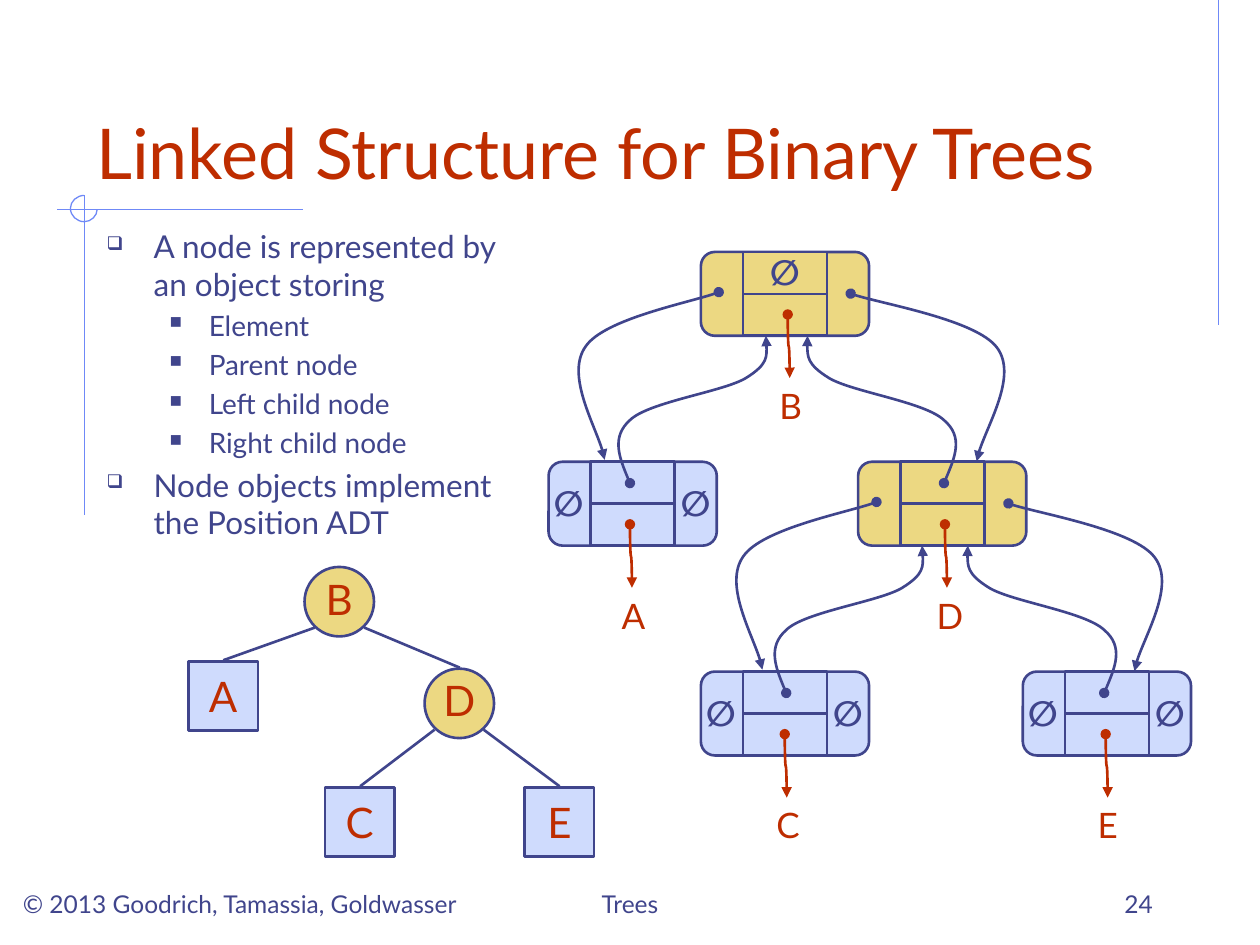
from lxml.etree import SubElement
from pptx import Presentation
from pptx.dml.color import RGBColor
from pptx.enum.shapes import MSO_CONNECTOR as CONN, MSO_SHAPE as SHAPE
from pptx.enum.text import MSO_ANCHOR as ANCHOR, PP_ALIGN as ALIGN
from pptx.oxml.ns import qn
from pptx.util import Cm, Pt

INK = RGBColor(0x40, 0x45, 0x8C)
RED = RGBColor(0xBE, 0x2D, 0x00)
GOLD = RGBColor(0xEC, 0xD8, 0x82)
PALE = RGBColor(0xCF, 0xDB, 0xFD)
RULE = RGBColor(0x6F, 0x89, 0xF7)

prs = Presentation()
prs.slide_width, prs.slide_height = Cm(25.4), Cm(19.05)
s = prs.slides.add_slide(prs.slide_layouts[6])
shapes = s.shapes


def draw(kind, geom, color=INK, width=1.5, fill=None, arrow=False):
    """Add a line (x1, y1, x2, y2), a box (x, y, w, h) or a Bezier curve (points)."""
    if kind == "bezier":
        pts = [(Cm(x), Cm(y)) for x, y in geom]
        fb = shapes.build_freeform(*pts[0], scale=1.0)
        fb.add_line_segments(pts[1:], close=False)
        sp = fb.convert_to_shape()
        sp.fill.background()
        track = next(sp._element.iter(qn("a:path")))
        track.set("fill", "none")
        steps = list(track)[1:]
        for i in range(0, len(steps), 3):  # three points make one cubic segment
            bez = SubElement(track, qn("a:cubicBezTo"))
            for step in steps[i:i + 3]:
                bez.append(step[0])
                track.remove(step)
    elif isinstance(kind, CONN):
        sp = shapes.add_connector(kind, *map(Cm, geom))
    else:
        sp = shapes.add_shape(kind, *map(Cm, geom))
        sp.fill.solid()
        sp.fill.fore_color.rgb = fill
    sp.line.color.rgb = color
    sp.line.width = Pt(width)
    if arrow:
        ln = sp.line._get_or_add_ln()
        SubElement(ln, qn("a:headEnd"), type="oval")
        SubElement(ln, qn("a:tailEnd"), type="triangle")
    SubElement(sp._element.spPr, qn("a:effectLst"))
    return sp


def write(text, size, color=INK, box=None, sp=None, bold=False, align=ALIGN.CENTER, **frame):
    """Put one line of text in a shape, or in a new text box."""
    sp = sp or shapes.add_textbox(*map(Cm, box))
    tf = sp.text_frame
    for name, value in {"word_wrap": False, **frame}.items():
        setattr(tf, name, value)
    p = tf.paragraphs[0]
    p.alignment = align
    r = p.add_run()
    r.text = text
    for name, value in {"name": "Lato", "size": Pt(size), "bold": bold}.items():
        setattr(r.font, name, value)
    r.font.color.rgb = color


# Decorative rules and the arc where they cross
for rule in [(24.56, 0, 24.56, 6.55), (6.1, 4.22, 1.14, 4.22), (1.7, 3.94, 1.7, 10.39)]:
    draw(CONN.STRAIGHT, rule, RULE, 0.75)
draw("bezier", [(1.7, 3.94), (1.55, 3.94), (1.42, 4.06), (1.42, 4.2), (1.42, 4.35),
                (1.55, 4.47), (1.7, 4.47), (1.84, 4.47), (1.96, 4.35), (1.96, 4.22)],
     RULE, 0.75)

# Title and footer
for text, size, color, box, align in [
    ("Linked Structure for Binary Trees", 40, RED, (1.69, 0.85, 22.44, 3.17), ALIGN.LEFT),
    ("© 2013 Goodrich, Tamassia, Goldwasser", 14, INK, (0.21, 17.36, 9.95, 1.27), ALIGN.LEFT),
    ("Trees", 14, INK, (8.68, 17.36, 8.04, 1.27), ALIGN.CENTER),
    ("24", 14, INK, (18.2, 17.36, 5.29, 1.27), ALIGN.RIGHT),
]:
    write(text, size, color, box, align=align, vertical_anchor=ANCHOR.BOTTOM, word_wrap=True)

# Bullet list
LEVELS = [  # bullet, size, left margin, hanging indent
    ("❑", 18, 0.95, 0.95),
    ("■", 16, 2.06, 0.79),
]
tf = shapes.add_textbox(Cm(1.9), Cm(4.45), Cm(8.47), Cm(6.77)).text_frame
tf.word_wrap = True
for i, (level, text) in enumerate([
    (0, "A node is represented by an object storing"),
    (1, "Element"),
    (1, "Parent node"),
    (1, "Left child node"),
    (1, "Right child node"),
    (0, "Node objects implement the Position ADT"),
]):
    bullet, size, margin, hang = LEVELS[level]
    p = tf.add_paragraph() if i else tf.paragraphs[0]
    p.level = level
    p.space_before = Pt(size * 0.2)
    pPr = p._p.get_or_add_pPr()
    pPr.set("marL", str(Cm(margin)))
    pPr.set("indent", str(-Cm(hang)))
    SubElement(SubElement(pPr, qn("a:buClr")), qn("a:srgbClr"), val=str(INK))
    SubElement(pPr, qn("a:buSzPct"), val="60000")
    SubElement(pPr, qn("a:buChar"), char=bullet)
    r = p.add_run()
    r.text = text
    for name, value in {"name": "Lato", "size": Pt(size)}.items():
        setattr(r.font, name, value)
    r.font.color.rgb = INK

# Abstract tree: inner nodes are circles, leaves are squares
for letter, x, y, inner in [("B", 6.14, 11.43, True), ("D", 8.56, 13.48, True),
                            ("A", 3.8, 13.33, False), ("C", 6.55, 15.87, False),
                            ("E", 10.58, 15.87, False)]:
    sp = draw(SHAPE.OVAL if inner else SHAPE.RECTANGLE, (x, y, 1.4, 1.4),
              fill=GOLD if inner else PALE)
    write(letter, 24, RED, sp=sp, vertical_anchor=ANCHOR.MIDDLE, margin_left=0,
          margin_right=0, margin_top=0, margin_bottom=Cm(0.13 if inner else 0))
for edge in [(11.28, 15.85, 9.75, 14.71), (7.26, 15.85, 8.76, 14.71),
             (4.5, 13.31, 6.35, 12.65), (9.27, 13.46, 7.34, 12.65)]:
    draw(CONN.STRAIGHT, edge)

# Linked nodes: cells, null signs, and the pointer to the element
W, H, TOP, STEP = 3.39, 1.69, 5.08, 4.23
for letter, x, row, pointer_x, inner in [
    ("B", 14.13, 0, 15.88, True), ("A", 11.06, 1, 12.7, False), ("D", 17.3, 1, 19.05, True),
    ("C", 14.13, 2, 15.82, False), ("E", 20.62, 2, 22.29, False),
]:
    y = TOP + row * STEP
    fill = GOLD if inner else PALE
    draw(SHAPE.ROUNDED_RECTANGLE, (x, y, W, H), fill=fill)
    draw(SHAPE.RECTANGLE, (x + W / 4, y, W / 2, H), fill=fill)
    draw(CONN.STRAIGHT, (x + W / 4, y + H / 2, x + W * 3 / 4, y + H / 2))

    nulls = [] if inner else [(-0.15, 0.28), (2.41, 0.28)]
    if row == 0:
        nulls = [(1.14, -0.15)]
    for dx, dy in nulls:
        write("∅", 20, box=(x + dx, y + dy, 1.09, 1.09), bold=True)

    # The S-bend lies flat and is turned upright about its centre
    cx, cy = pointer_x + 0.02, y + 1.9
    sp = draw(CONN.CURVE, (cx - 0.64, cy + 0.02, cx + 0.64, cy - 0.02), RED, arrow=True)
    sp._element.spPr.xfrm.set("rot", "5400000")
    write(letter, 20, RED, (pointer_x - 0.42, y + 2.54, 0.92, 1.09))

# Parent and child links of the root; the same set, moved, serves node D
LINKS = [  # shift to node D, Bezier points
    (3.15, [(12.7, 9.74), (12.5, 9.27), (12.32, 8.81), (12.7, 8.47), (13.08, 8.1),
            (14.58, 7.9), (15.04, 7.62), (15.49, 7.34), (15.47, 7.06), (15.44, 6.77)]),
    (3.23, [(19.03, 9.74), (19.23, 9.27), (19.43, 8.81), (19.03, 8.47), (18.64, 8.1),
            (17.17, 7.9), (16.71, 7.62), (16.26, 7.34), (16.26, 7.06), (16.28, 6.77)]),
    (3.18, [(14.49, 5.89), (14.05, 6.07), (12.19, 6.43), (11.81, 6.98), (11.4, 7.54),
            (12.12, 8.79), (12.19, 9.27)]),
    (3.18, [(17.15, 5.92), (17.63, 6.1), (19.69, 6.45), (20.1, 7.01), (20.52, 7.57),
            (19.76, 8.81), (19.69, 9.3)]),
]
for shift, pts in LINKS:
    for n in range(2):
        draw("bezier", [(x + n * shift, y + n * STEP) for x, y in pts], arrow=True)

prs.save("out.pptx")
